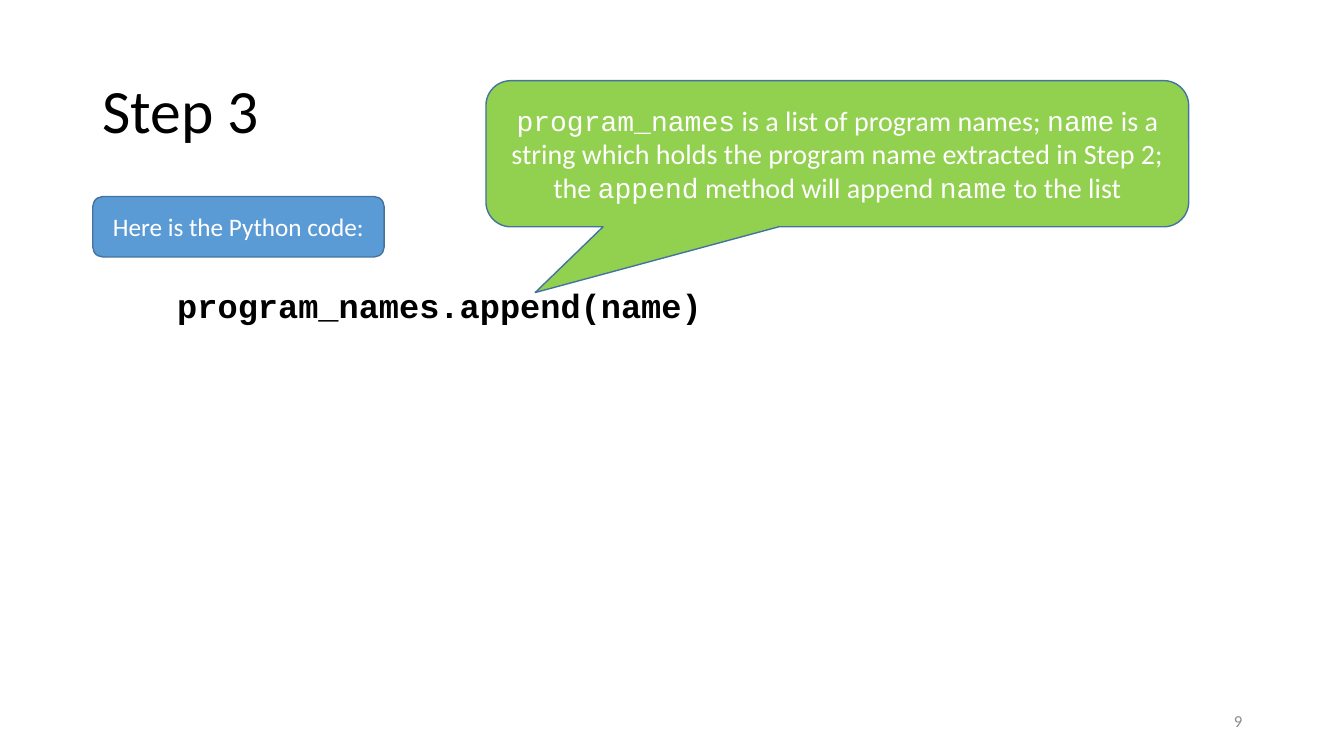
from pptx import Presentation
from pptx.dml.color import RGBColor
from pptx.enum.shapes import MSO_SHAPE as Shape
from pptx.enum.text import MSO_ANCHOR as Anchor, PP_ALIGN as Align
from pptx.util import Inches, Pt

BLACK = RGBColor(0x00, 0x00, 0x00)
WHITE = RGBColor(0xFF, 0xFF, 0xFF)
GRAY = RGBColor(0x8C, 0x8C, 0x8C)
BLUE = RGBColor(0x5B, 0x9B, 0xD5)
DARK_BLUE = RGBColor(0x43, 0x73, 0x9E)
GREEN = RGBColor(0x92, 0xD0, 0x50)
BODY_FONT = "Calibri"
CODE_FONT = "Courier New"


def set_values(target, values):
    for name, value in values.items():
        setattr(target, name, value)


def write_text(shape, runs, size, color, align=Align.LEFT, anchor=Anchor.MIDDLE,
               bold=False, spacing=1.0):
    set_values(shape.text_frame, {"word_wrap": True, "vertical_anchor": anchor})
    paragraph = shape.text_frame.paragraphs[0]
    set_values(paragraph, {"alignment": align, "line_spacing": spacing})
    for text, font_name in runs:
        run = paragraph.add_run()
        run.text = text
        set_values(run.font, {"name": font_name, "size": Pt(size), "bold": bold})
        run.font.color.rgb = color


def add_label(slide, box, runs, size, color, **text_format):
    label = slide.shapes.add_textbox(*map(Inches, box))
    write_text(label, runs, size, color, **text_format)


def add_bubble(slide, box, kind, fill, runs, size, adjustments=()):
    bubble = slide.shapes.add_shape(kind, *map(Inches, box))
    bubble.shadow.inherit = False
    bubble.fill.solid()
    bubble.fill.fore_color.rgb = fill
    bubble.line.color.rgb = DARK_BLUE
    bubble.line.width = Pt(1)
    for index, value in enumerate(adjustments):
        bubble.adjustments[index] = value
    write_text(bubble, runs, size, WHITE, align=Align.CENTER)


def add_step_slide(presentation):
    slide = presentation.slides.add_slide(presentation.slide_layouts[6])
    add_label(slide, (0.92, 0.4, 11.5, 1.45), [("Step 3", BODY_FONT)], 44, BLACK,
              spacing=0.9)
    add_label(slide, (1.66, 2.78, 5.44, 0.5),
              [("program_names.append(name)", CODE_FONT)], 24, BLACK,
              anchor=Anchor.TOP, bold=True)
    add_bubble(slide, (0.92, 1.95, 2.89, 0.6), Shape.ROUNDED_RECTANGLE, BLUE,
               [("Here is the Python code:", BODY_FONT)], 18)
    add_label(slide, (9.42, 6.95, 3, 0.4), [("9", BODY_FONT)], 12, GRAY,
              align=Align.RIGHT)
    explanation = [
        ("program_names", CODE_FONT),
        (" is a list of program names; ", BODY_FONT),
        ("name", CODE_FONT),
        (" is a string which holds the program name extracted in Step 2; the ",
         BODY_FONT),
        ("append", CODE_FONT),
        (" method will append ", BODY_FONT),
        ("name", CODE_FONT),
        (" to the list", BODY_FONT),
    ]
    add_bubble(slide, (4.82, 0.8, 6.97, 1.45), Shape.ROUNDED_RECTANGULAR_CALLOUT,
               GREEN, explanation, 20, (-0.43, 0.95, 0.17))


presentation = Presentation()
set_values(presentation, {"slide_width": Inches(13.33), "slide_height": Inches(7.5)})
add_step_slide(presentation)
presentation.save("out.pptx")
